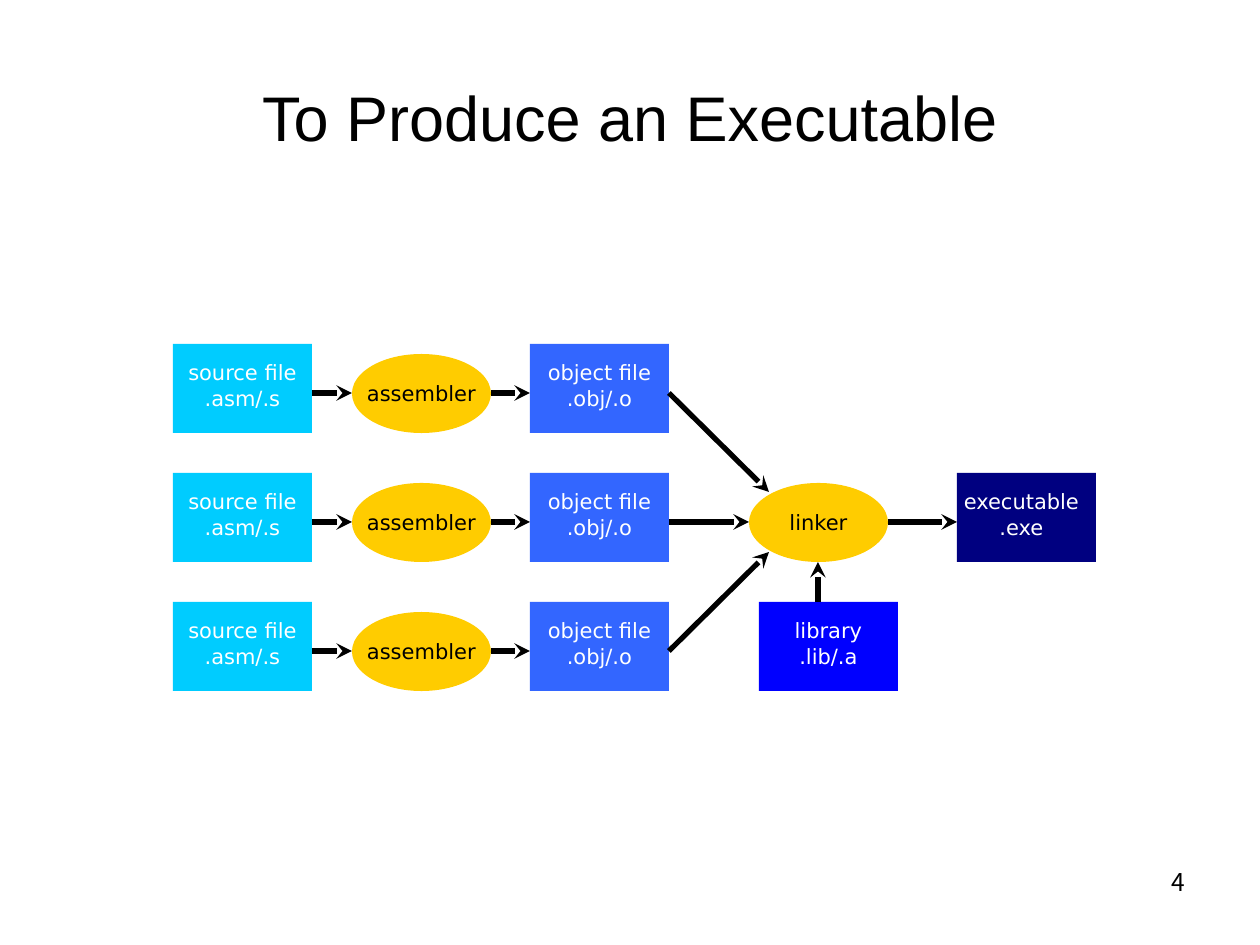
from lxml import etree
from pptx import Presentation
from pptx.dml.color import RGBColor
from pptx.enum.shapes import MSO_CONNECTOR, MSO_SHAPE
from pptx.enum.text import MSO_ANCHOR, PP_ALIGN
from pptx.oxml.ns import qn
from pptx.util import Pt

PX = 7257  # EMU per px, 126 px to the inch
RECT, OVAL = MSO_SHAPE.RECTANGLE, MSO_SHAPE.OVAL
STRAIGHT = MSO_CONNECTOR.STRAIGHT
TOP, MIDDLE = MSO_ANCHOR.TOP, MSO_ANCHOR.MIDDLE
CENTER, RIGHT = PP_ALIGN.CENTER, PP_ALIGN.RIGHT

BLACK = RGBColor(0x00, 0x00, 0x00)
WHITE = RGBColor(0xFF, 0xFF, 0xFF)
CYAN = RGBColor(0x00, 0xCC, 0xFF)
SKY = RGBColor(0x33, 0x66, 0xFF)
BLUE = RGBColor(0x00, 0x00, 0xFF)
NAVY = RGBColor(0x00, 0x00, 0x80)
GOLD = RGBColor(0xFF, 0xCC, 0x00)

prs = Presentation()
prs.slide_width, prs.slide_height = 1260 * PX, 945 * PX
s = prs.slides.add_slide(prs.slide_layouts[6])


def write(sp, lines, size, font, color, align, anchor):
    tf = sp.text_frame
    tf.text = "\n".join(lines)
    tf.vertical_anchor = anchor
    for p in tf.paragraphs:
        p.alignment = align
        p.font.size = Pt(size)
        p.font.name = font
        p.font.color.rgb = color
    return tf


def add_node(kind, x, y, h, fill, color, lines):
    sp = s.shapes.add_shape(kind, x * PX, y * PX, W * PX, h * PX)
    sp.shadow.inherit = False
    sp.fill.solid()
    sp.fill.fore_color.rgb = fill
    sp.line.fill.background()
    tf = write(sp, lines, 12, "DejaVu Sans", color, CENTER,
               TOP if kind == RECT else MIDDLE)
    tf.word_wrap = False
    tf.margin_left = tf.margin_right = tf.margin_bottom = 0
    tf.margin_top = 16 * PX if kind == RECT else 0
    return tf


# Title and page number
sp = s.shapes.add_textbox(63 * PX, 38 * PX, 1134 * PX, 157 * PX)
write(sp, ["To Produce an Executable"], 36, "Arial", BLACK, CENTER,
      MIDDLE).word_wrap = True
sp = s.shapes.add_textbox(903 * PX, 861 * PX, 294 * PX, 65 * PX)
write(sp, ["4"], 14, "Noto Sans CJK KR", BLACK, RIGHT, TOP).word_wrap = True

# Diagram grid
W, BOX_H, OVAL_H = 139, 89, 79
ROWS = [344 + 129 * i for i in range(3)]  # tops of the boxes
FLOW = 49  # from the top of a row to its arrows
OVAL_DY = 10
SOURCE, ASSEMBLER, OBJECT, LINKER, LIBRARY, EXE = 173, 352, 530, 749, 759, 957
MID = ROWS[1] + FLOW
LINKER_CX = LINKER + W // 2

# One source, assembler and object file in each row
arrows = []
for y in ROWS:
    add_node(RECT, SOURCE, y, BOX_H, CYAN, WHITE, ["source file", ".asm/.s"])
    add_node(OVAL, ASSEMBLER, y + OVAL_DY, OVAL_H, GOLD, BLACK, ["assembler"])
    add_node(RECT, OBJECT, y, BOX_H, SKY, WHITE, ["object file", ".obj/.o"])
    cy = y + FLOW
    arrows += [(SOURCE + W, cy, ASSEMBLER, cy),
               (ASSEMBLER + W, cy, OBJECT, cy)]

# Linker, library and executable
add_node(OVAL, LINKER, ROWS[1] + OVAL_DY, OVAL_H, GOLD, BLACK, ["linker"])
add_node(RECT, LIBRARY, ROWS[2], BOX_H, BLUE, WHITE, ["library", ".lib/.a"])
tf = add_node(RECT, EXE, ROWS[1], BOX_H, NAVY, WHITE, ["executable", ".exe"])
tf.margin_right = 10 * PX
arrows += [
    (OBJECT + W, ROWS[0] + FLOW, LINKER + 20, MID - 30),
    (OBJECT + W, MID, LINKER, MID),
    (OBJECT + W, ROWS[2] + FLOW, LINKER + 20, MID + 30),
    (LINKER_CX, ROWS[2], LINKER_CX, ROWS[1] + OVAL_DY + OVAL_H),
    (LINKER + W, MID, EXE, MID),
]

# Arrows
for ends in arrows:
    cxn = s.shapes.add_connector(STRAIGHT, *(v * PX for v in ends))
    cxn.line.color.rgb = BLACK
    cxn.line.width = Pt(3)
    etree.SubElement(cxn.line._get_or_add_ln(), qn("a:tailEnd"), type="stealth")
    etree.SubElement(cxn._element.spPr, qn("a:effectLst"))

prs.save("out.pptx")
